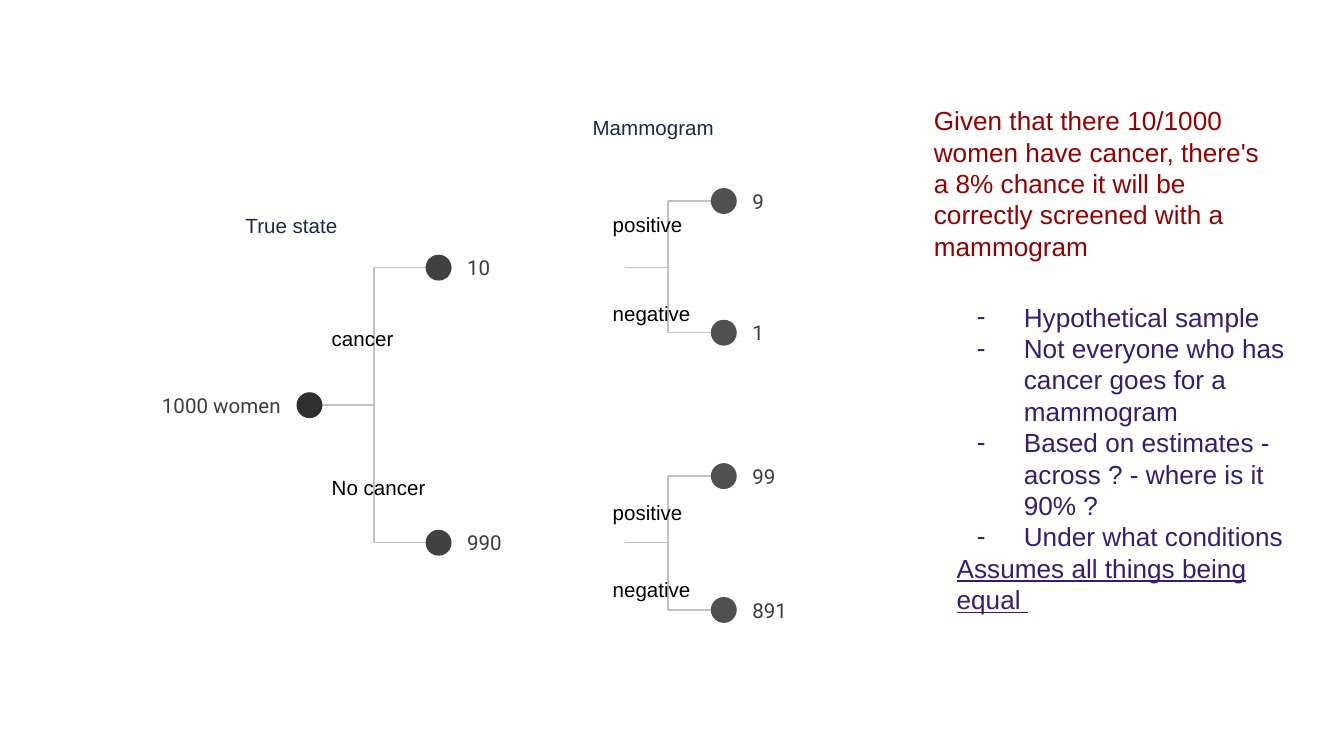
from lxml import etree
from pptx import Presentation
from pptx.dml.color import RGBColor
from pptx.enum.shapes import MSO_CONNECTOR, MSO_SHAPE
from pptx.enum.text import MSO_ANCHOR, MSO_AUTO_SIZE, PP_ALIGN
from pptx.oxml.ns import qn
from pptx.util import Cm, Pt

ELBOW = MSO_CONNECTOR.ELBOW
OVAL = MSO_SHAPE.OVAL
ROUNDED = MSO_SHAPE.ROUNDED_RECTANGLE
MIDDLE, TOP = MSO_ANCHOR.MIDDLE, MSO_ANCHOR.TOP
LEFT, RIGHT = PP_ALIGN.LEFT, PP_ALIGN.RIGHT
NO_FIT = MSO_AUTO_SIZE.NONE

COLORS = {
    "line": "C2C2C2",
    "root": "2F2F2F",
    "state": "414141",
    "result": "505050",
    "count": "3D3D3D",
    "heading": "172B4D",
    "branch": "000000",
    "claim": "980000",
    "notes": "351C75",
}

DOT = 0.49
COUNT_WIDTH, COUNT_HEIGHT = 3.28, 0.89
ROOT_X, STATE_X, RESULT_X = 5.85, 8.29, 13.68
ROOT_Y = 7.66
STATES = [
    ("10", 5.06, [("9", 3.8), ("1", 6.29)]),
    ("990", 10.26, [("99", 9.0), ("891", 11.53)]),
]
HEADINGS = [("True state", 4.39, 3.78), ("Mammogram", 10.95, 1.93)]
BRANCHES = [
    ("cancer", 6.02, 5.94),
    ("No cancer", 6.02, 8.74),
    ("positive", 11.33, 3.78),
    ("negative", 11.33, 5.46),
    ("positive", 11.33, 9.22),
    ("negative", 11.33, 10.67),
]
CLAIM = ("Given that there 10/1000 women have cancer, there's a 8% chance "
         "it will be correctly screened with a mammogram")
NOTES = [
    "Hypothetical sample",
    "Not everyone who has cancer goes for a mammogram",
    "Based on estimates - across ? - where is it 90% ?",
    "Under what conditions",
]
CONCLUSION = "Assumes all things being equal "


def color(name):
    return RGBColor.from_string(COLORS[name])


def set_frame(frame, anchor):
    frame.word_wrap = True
    frame.auto_size = NO_FIT
    frame.vertical_anchor = anchor
    frame.margin_left = frame.margin_right = Cm(0.25)
    frame.margin_top = frame.margin_bottom = Cm(0.25)


def format_text(paragraph, size, color_name, font="Arial"):
    for span in paragraph.runs:
        span.font.name = font
        span.font.size = Pt(size)
        span.font.color.rgb = color(color_name)


def add_text(page, text, left, top, width, height, size, color_name):
    box = page.shapes.add_textbox(Cm(left), Cm(top), Cm(width), Cm(height))
    set_frame(box.text_frame, TOP)
    box.text_frame.text = text
    format_text(box.text_frame.paragraphs[0], size, color_name)


def add_branch_line(page, start_x, start_y, center_x, center_y):
    line = page.shapes.add_connector(
        ELBOW, Cm(start_x), Cm(start_y), Cm(center_x - DOT / 2), Cm(center_y))
    line.line.color.rgb = color("line")
    line.line.width = Pt(0.75)
    etree.SubElement(line._element.spPr, qn("a:effectLst"))


def add_node(page, text, center_x, center_y, dot_color, align=LEFT):
    group = page.shapes.add_group_shape()
    radius = DOT / 2
    left = center_x + radius
    if align == RIGHT:
        left = center_x - radius - COUNT_WIDTH
    count = group.shapes.add_shape(
        ROUNDED, Cm(left), Cm(center_y - COUNT_HEIGHT / 2),
        Cm(COUNT_WIDTH), Cm(COUNT_HEIGHT))
    count.shadow.inherit = False
    count.fill.background()
    count.line.fill.background()
    set_frame(count.text_frame, MIDDLE)
    count.text_frame.text = text
    paragraph = count.text_frame.paragraphs[0]
    paragraph.alignment = align
    format_text(paragraph, 11, "count", "Roboto")

    dot = group.shapes.add_shape(
        OVAL, Cm(center_x - radius), Cm(center_y - radius), Cm(DOT), Cm(DOT))
    dot.shadow.inherit = False
    dot.fill.solid()
    dot.fill.fore_color.rgb = color(dot_color)
    dot.line.fill.background()


def add_tree(page):
    result_start = STATE_X + DOT / 2 + COUNT_WIDTH
    for _, state_y, results in STATES:
        add_branch_line(page, ROOT_X + DOT / 2, ROOT_Y, STATE_X, state_y)
        for _, result_y in results:
            add_branch_line(page, result_start, state_y, RESULT_X, result_y)

    add_node(page, "1000 women", ROOT_X, ROOT_Y, "root", RIGHT)
    for state, state_y, results in STATES:
        add_node(page, state, STATE_X, state_y, "state")
        for result, result_y in results:
            add_node(page, result, RESULT_X, result_y, "result")


def set_dash(paragraph):
    properties = paragraph._p.get_or_add_pPr()
    properties.set("marL", str(Cm(1.27)))
    properties.set("indent", str(Cm(-0.89)))
    bullet_color = etree.SubElement(properties, qn("a:buClr"))
    etree.SubElement(bullet_color, qn("a:srgbClr"), val=COLORS["notes"])
    etree.SubElement(properties, qn("a:buFont"), typeface="Arial")
    etree.SubElement(properties, qn("a:buChar"), char="-")


def set_plain(paragraph):
    properties = paragraph._p.get_or_add_pPr()
    properties.set("marL", "0")
    properties.set("indent", "0")
    etree.SubElement(properties, qn("a:buNone"))


def fill_notes(body):
    body.left, body.top = Cm(17.83), Cm(5.44)
    body.width, body.height = Cm(6.78), Cm(7.09)
    set_frame(body.text_frame, TOP)
    body.text_frame.text = "\n".join(NOTES + [CONCLUSION])
    *items, conclusion = body.text_frame.paragraphs
    for item in items:
        set_dash(item)
    set_plain(conclusion)
    for paragraph in body.text_frame.paragraphs:
        paragraph.space_before = Pt(0)
        format_text(paragraph, 14, "notes")
    conclusion.runs[0].font.underline = True


def main():
    deck = Presentation()
    deck.slide_width, deck.slide_height = Cm(25.4), Cm(14.29)
    page = deck.slides.add_slide(deck.slide_layouts[1])
    title = page.shapes.title._element
    title.getparent().remove(title)

    add_tree(page)
    for text, left, top in HEADINGS:
        add_text(page, text, left, top, 3.99, 0.89, 11, "heading")
    for text, left, top in BRANCHES:
        add_text(page, text, left, top, 2.36, 0.46, 11, "branch")
    add_text(page, CLAIM, 17.4, 1.73, 6.78, 3.63, 14, "claim")
    fill_notes(page.placeholders[1])
    deck.save("out.pptx")


if __name__ == "__main__":
    main()
